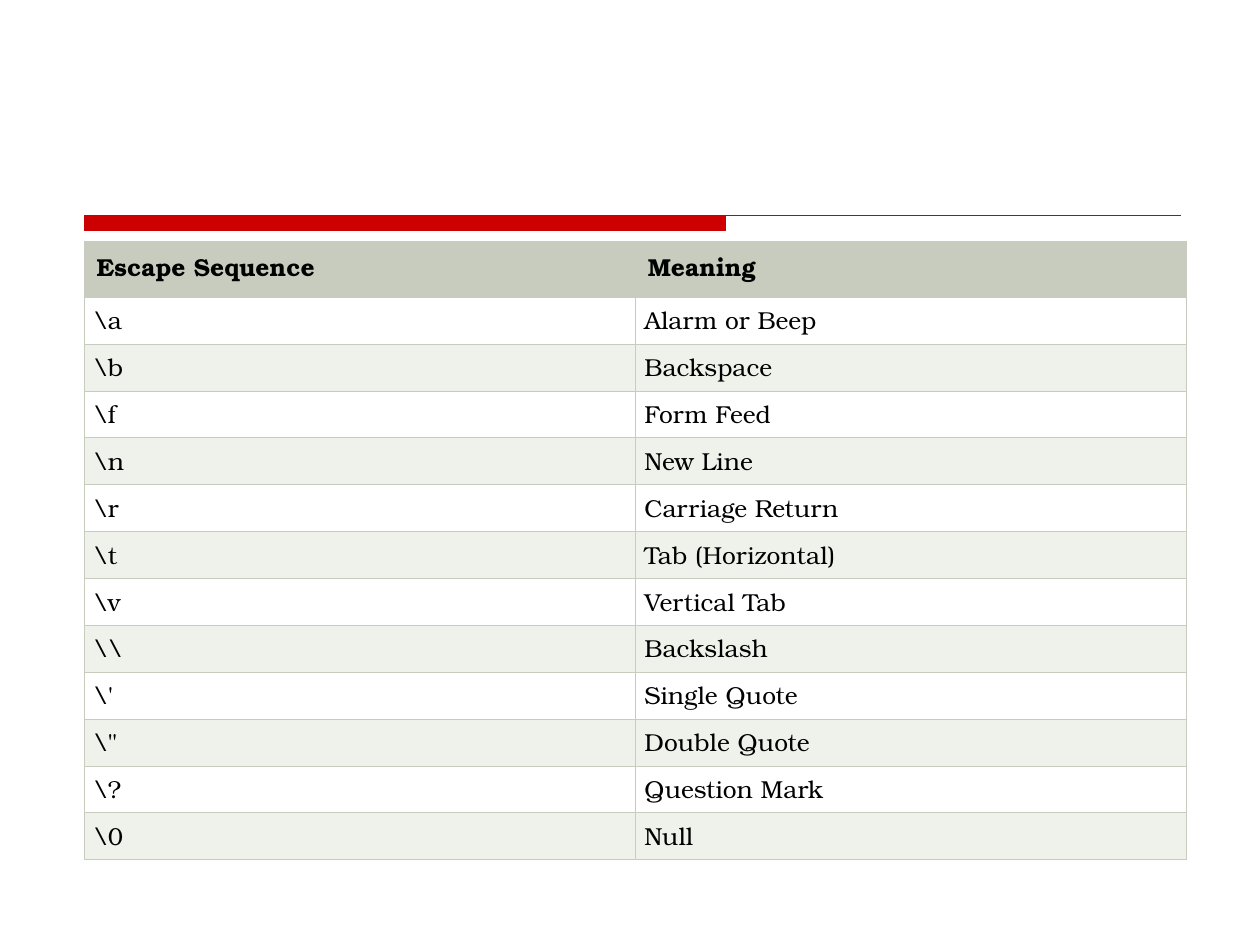
from itertools import cycle
from lxml.etree import SubElement
from pptx import Presentation
from pptx.dml.color import RGBColor
from pptx.enum.text import MSO_ANCHOR
from pptx.oxml.ns import qn
from pptx.util import Cm, Pt

RED, SAGE, PALE, WHITE, BLACK = "CC0000", "C7CCBE", "EFF1EB", "FFFFFF", "000000"
LEFT = 1.7
TABLE_HEIGHT = 12.47
HEADER_HEIGHT = 1.12

HEADINGS = ("Escape Sequence", "Meaning")
ESCAPES = [
    (r"\a", "Alarm or Beep"),
    (r"\b", "Backspace"),
    (r"\f", "Form Feed"),
    (r"\n", "New Line"),
    (r"\r", "Carriage Return"),
    (r"\t", "Tab (Horizontal)"),
    (r"\v", "Vertical Tab"),
    (r"\\", "Backslash"),
    (r"\'", "Single Quote"),
    (r"\"", "Double Quote"),
    (r"\?", "Question Mark"),
    (r"\0", "Null"),
]


def color(value):
    return RGBColor.from_string(value)


def apply(target, values):
    for name, value in values.items():
        setattr(target, name, value)


class SlideBuilder:
    font = {"name": "TeX Gyre Bonum", "size": Pt(14)}
    border_width = Pt(0.45)

    def __init__(self, slide):
        self.slide = slide

    def divider(self, left, top, bar_width, bar_height, rule_width, fill, weight):
        start, end, rule_end = Cm(left), Cm(left + bar_width), Cm(left + rule_width)
        upper, lower = Cm(top), Cm(top + bar_height)
        outline = self.slide.shapes.build_freeform(start, upper)
        outline.add_line_segments([(end, upper), (end, lower), (start, lower)], close=True)
        outline.move_to(start, upper)
        outline.add_line_segments([(rule_end, upper)], close=False)
        divider = outline.convert_to_shape()
        divider.shadow.inherit = False
        divider.fill.solid()
        divider.fill.fore_color.rgb = color(fill)
        divider.line.color.rgb = color(fill)
        divider.line.width = Pt(weight)

    def borders(self, cell, stroke):
        properties = cell._tc.get_or_add_tcPr()
        for position, side in enumerate(("a:lnL", "a:lnR", "a:lnT", "a:lnB")):
            edge = properties.makeelement(qn(side), {"w": str(self.border_width)})
            fill = SubElement(edge, qn("a:solidFill"))
            SubElement(fill, qn("a:srgbClr"), val=stroke)
            properties.insert(position, edge)

    def cell(self, cell, text, fill, side_margin, bold):
        apply(cell, {
            "text": text,
            "margin_left": Cm(side_margin),
            "margin_right": Cm(side_margin),
            "margin_top": Cm(0.13),
            "margin_bottom": Cm(0.13),
            "vertical_anchor": MSO_ANCHOR.TOP,
        })
        cell.fill.solid()
        cell.fill.fore_color.rgb = color(fill)
        font = cell.text_frame.paragraphs[0].runs[0].font
        apply(font, {**self.font, "bold": bold})
        font.color.rgb = color(BLACK)
        self.borders(cell, SAGE)

    def table(self, left, top, column_width, height, header_height, headings, rows):
        table = self.slide.shapes.add_table(
            len(rows) + 1, len(headings), Cm(left), Cm(top),
            Cm(column_width * len(headings)), Cm(height)).table
        for column in table.columns:
            column.width = Cm(column_width)
        for row in table.rows:
            row.height = Cm((height - header_height) / len(rows))
        table.rows[0].height = Cm(header_height)
        for cell, heading in zip(table.rows[0].cells, headings):
            self.cell(cell, heading, SAGE, 0.25, True)
        for row, entries, band in zip(list(table.rows)[1:], rows, cycle((WHITE, PALE))):
            for cell, entry in zip(row.cells, entries):
                self.cell(cell, entry, band, 0.18, False)


def main():
    deck = Presentation()
    apply(deck, {"slide_width": Cm(25.4), "slide_height": Cm(19.05)})
    builder = SlideBuilder(deck.slides.add_slide(deck.slide_layouts[6]))
    builder.divider(LEFT, 4.35, 12.93, 0.3, 22.1, RED, 0.75)
    builder.table(LEFT, 4.87, 11.11, TABLE_HEIGHT, HEADER_HEIGHT, HEADINGS, ESCAPES)
    deck.save("out.pptx")


if __name__ == "__main__":
    main()
